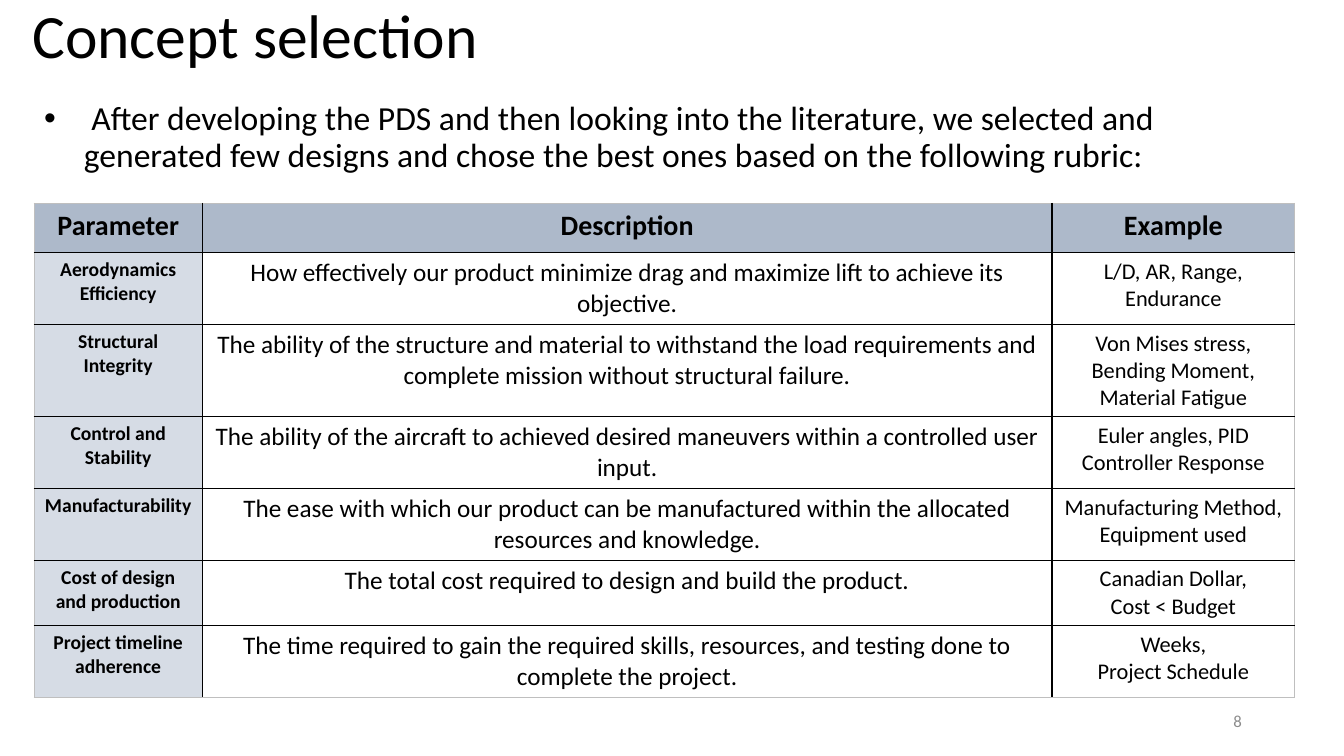
from lxml.etree import SubElement
from pptx import Presentation
from pptx.dml.color import RGBColor
from pptx.enum.text import MSO_ANCHOR, MSO_AUTO_SIZE, PP_ALIGN
from pptx.oxml.ns import qn
from pptx.util import Cm, Pt

FONT = "Calibri"
BLACK, GREY, NUMBER_GREY = "000000", "BFBFBF", "8C8C8C"
HEADER_FILL, PARAMETER_FILL, PLAIN_FILL = "ADB9CA", "D6DCE5", "FFFFFF"

COLUMN_WIDTHS = [4.24, 21.41, 6.12]
COLUMN_SIZES = [14, 18, 16]
ROW_HEIGHTS = [1.24, 1.81, 2.32, 1.81, 1.81, 1.64, 1.82]
RUBRIC = [
    ("Parameter", "Description", "Example"),
    ("Aerodynamics Efficiency",
     "How effectively our product minimize drag and maximize lift to achieve its objective.",
     "L/D, AR, Range, Endurance"),
    ("Structural Integrity",
     "The ability of the structure and material to withstand the load requirements and "
     "complete mission without structural failure.",
     "Von Mises stress, Bending Moment, Material Fatigue"),
    ("Control and Stability",
     "The ability of the aircraft to achieved desired maneuvers within a controlled user input.",
     "Euler angles, PID Controller Response"),
    ("Manufacturability",
     "The ease with which our product can be manufactured within the allocated "
     "resources and knowledge.",
     "Manufacturing Method, Equipment used"),
    ("Cost of design and production",
     "The total cost required to design and build the product.",
     "Canadian Dollar,\nCost < Budget"),
    ("Project timeline adherence",
     "The time required to gain the required skills, resources, and testing done to "
     "complete the project.",
     "Weeks,\nProject Schedule"),
]


def color(hex_string):
    return RGBColor.from_string(hex_string)


def style(paragraph, size, hex_string=BLACK, bold=False, align=PP_ALIGN.LEFT):
    paragraph.alignment = align
    paragraph.space_before = Pt(0)
    font = paragraph.font
    font.name, font.size, font.bold = FONT, Pt(size), bold
    font.color.rgb = color(hex_string)


def place(shape, left, top, width, height):
    shape.left, shape.top = Cm(left), Cm(top)
    shape.width, shape.height = Cm(width), Cm(height)


def fill_placeholder(shape, box, text, size, anchor):
    """Move a placeholder to the box and return its only paragraph."""
    place(shape, *box)
    frame = shape.text_frame
    frame.text = text
    frame.word_wrap = True
    frame.auto_size = MSO_AUTO_SIZE.NONE
    frame.vertical_anchor = anchor
    paragraph = frame.paragraphs[0]
    paragraph.line_spacing = 0.9
    return paragraph


def add_title(page, box, text):
    paragraph = fill_placeholder(page.shapes.title, box, text, 44, MSO_ANCHOR.MIDDLE)
    style(paragraph, 44)


def add_introduction(page, box, text):
    paragraph = fill_placeholder(page.placeholders[1], box, text, 24, MSO_ANCHOR.TOP)
    properties = paragraph._p.get_or_add_pPr()
    properties.set("marL", str(Cm(1)))
    properties.set("indent", str(Cm(-1)))
    style(paragraph, 24)
    SubElement(properties, qn("a:buFont")).set("typeface", "Arial")
    SubElement(properties, qn("a:buChar")).set("char", "•")
    # Bullet elements must come before the font element.
    properties.append(properties.find(qn("a:defRPr")))


def set_borders(cell, sides):
    """Draw cell edges; sides maps each edge tag to its colour, in schema order."""
    properties = cell._tc.get_or_add_tcPr()
    for position, (side, hex_string) in enumerate(sides.items()):
        line = SubElement(properties, qn(f"a:{side}"), w=str(Pt(1)))
        fill = SubElement(line, qn("a:solidFill"))
        SubElement(fill, qn("a:srgbClr"), val=hex_string)
        properties.insert(position, line)


def add_rubric(page, left, top):
    row_count, column_count = len(RUBRIC), len(COLUMN_WIDTHS)
    table = page.shapes.add_table(
        row_count, column_count, Cm(left), Cm(top),
        Cm(sum(COLUMN_WIDTHS)), Cm(sum(ROW_HEIGHTS))).table
    for column, width in zip(table.columns, COLUMN_WIDTHS):
        column.width = Cm(width)
    for row, height in zip(table.rows, ROW_HEIGHTS):
        row.height = Cm(height)

    for i, texts in enumerate(RUBRIC):
        for j, text in enumerate(texts):
            cell = table.cell(i, j)
            header = i == 0
            cell.text = text
            for paragraph in cell.text_frame.paragraphs:
                style(paragraph, 20 if header else COLUMN_SIZES[j],
                      bold=header or j == 0, align=PP_ALIGN.CENTER)
            cell.fill.solid()
            cell.fill.fore_color.rgb = color(
                HEADER_FILL if header else PARAMETER_FILL if j == 0 else PLAIN_FILL)
            set_borders(cell, {
                "lnL": GREY if j == 0 else BLACK,
                "lnR": GREY if j == column_count - 1 else BLACK,
                "lnT": GREY if header else BLACK,
                "lnB": GREY if i == row_count - 1 else BLACK,
            })


def add_page_number(page, box, number):
    frame = page.shapes.add_textbox(*map(Cm, box)).text_frame
    frame.word_wrap = True
    frame.vertical_anchor = MSO_ANCHOR.MIDDLE
    frame.text = number
    style(frame.paragraphs[0], 12, NUMBER_GREY, align=PP_ALIGN.RIGHT)


def main():
    deck = Presentation()
    deck.slide_width, deck.slide_height = Cm(33.87), Cm(19.05)
    page = deck.slides.add_slide(deck.slide_layouts[1])
    add_title(page, (0.56, -0.86, 29.21, 3.68), "Concept selection")
    add_introduction(
        page, (0.86, 2.44, 32.16, 12.09),
        " After developing the PDS and then looking into the literature, we selected and "
        "generated few designs and chose the best ones based on the following rubric:")
    add_rubric(page, 0.86, 5.13)
    add_page_number(page, (23.93, 17.65, 7.62, 1.02), "8")
    deck.save("out.pptx")


if __name__ == "__main__":
    main()
